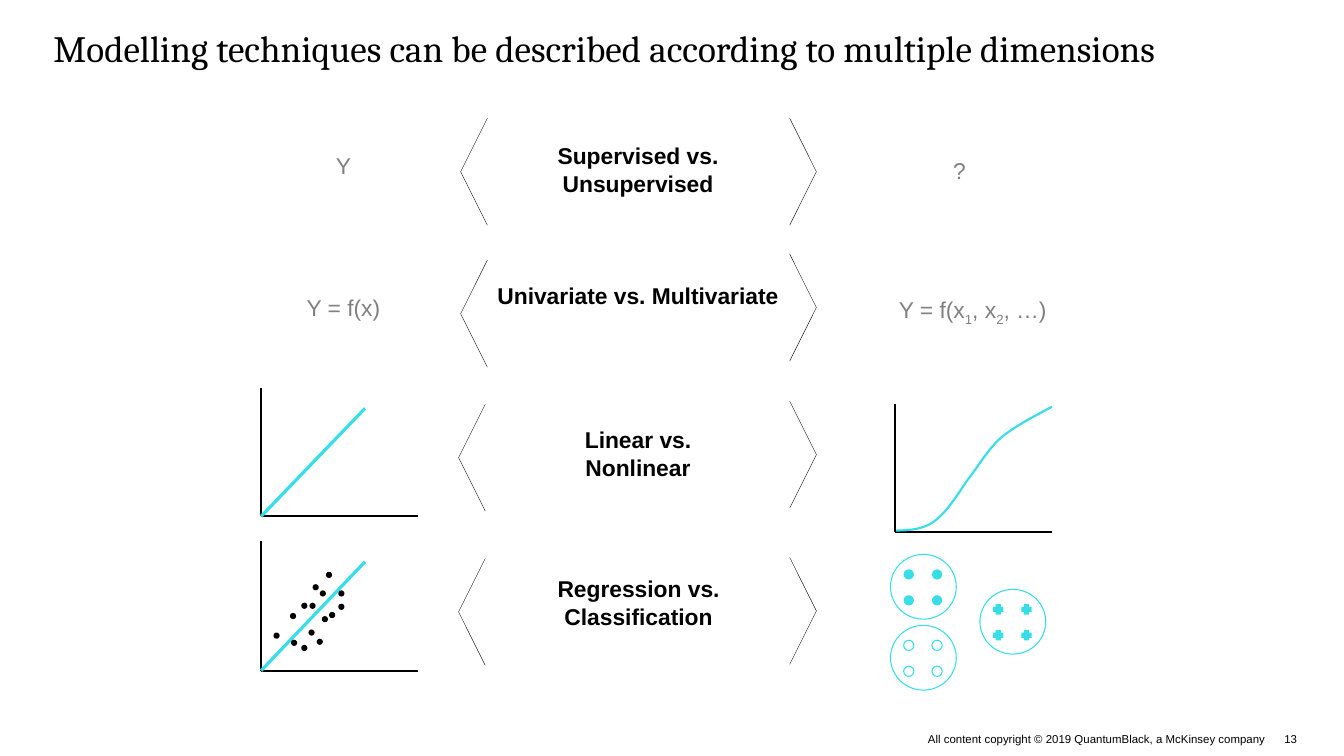
import lxml.etree
import pptx
import pptx.dml.color
import pptx.enum.shapes
import pptx.enum.text
import pptx.oxml.ns
import pptx.util

# Square grid of 0.01 inch cells; every box is (left, top, width, height) in cells
COLS, ROWS = 1307, 735
CELL = pptx.util.Inches(0.01)
HEX = {"ink": "000000", "grey": "808080", "aqua": "37DEE7", "white": "FFFFFF"}
KIND = pptx.enum.shapes.MSO_SHAPE
ALIGN = pptx.enum.text.PP_ALIGN
ANCHOR = pptx.enum.text.MSO_ANCHOR

TITLE = {"name": "Cambria", "size": pptx.util.Pt(26)}
LABEL = {"name": "Arial", "size": pptx.util.Pt(16), "bold": True}
SAMPLE = {"name": "Arial", "size": pptx.util.Pt(16)}
SMALL = {"name": "Arial", "size": pptx.util.Pt(8)}

# Label, its box, then left-top corners of the two brackets
DIMENSIONS = [
    ("Supervised vs. Unsupervised", (483, 138, 275, 54), (448, 115), (768, 115)),
    ("Univariate vs. Multivariate", (483, 274, 275, 27), (448, 253), (768, 247)),
    ("Linear vs. Nonlinear", (520, 414, 201, 54), (446, 393), (768, 390)),
    ("Regression vs. Classification", (515, 559, 212, 54), (446, 543), (768, 542)),
]
# Dot corners, counted in cells from the corner of the scatter plot
DOTS = [(12, 89), (28, 70), (39, 60), (50, 42), (57, 48), (47, 60), (63, 30),
        (75, 61), (66, 69), (46, 86), (59, 73), (54, 95), (29, 96), (39, 101), (75, 48)]
# Bezier knots and handles as shares of the plot
CURVE = [(.01, .99), (.1, .99), (.18, .98), (.25, .92), (.33, .85), (.4, .71),
         (.46, .6), (.53, .49), (.58, .38), (.66, .28), (.75, .18), (.88, .1), (1, .02)]


def emu(*cells):
    return [round(cell * CELL) for cell in cells]


def rgb(name):
    return pptx.dml.color.RGBColor.from_string(HEX[name])


def stroke(line, hue, width):
    line.color.rgb = rgb(hue)
    line.width = pptx.util.Pt(width)


def text(slide, box, runs, form, hue="ink", align=ALIGN.CENTER,
         anchor=ANCHOR.TOP, wrap=True):
    """Write runs of (words, is subscript) in a box without margins."""
    frame = slide.shapes.add_textbox(*emu(*box)).text_frame
    setup = {"margin_left": 0, "margin_right": 0, "margin_top": 0,
             "margin_bottom": 0, "word_wrap": wrap, "vertical_anchor": anchor}
    for key, value in setup.items():
        setattr(frame, key, value)
    para = frame.paragraphs[0]
    para.alignment = align
    for words, sub in runs:
        run = para.add_run()
        run.text = words
        for key, value in form.items():
            setattr(run.font, key, value)
        run.font.color.rgb = rgb(hue)
        if sub:
            run.font._element.set("baseline", "-25000")


def line(slide, start, end, hue, width):
    link = slide.shapes.add_connector(
        pptx.enum.shapes.MSO_CONNECTOR.STRAIGHT, *emu(*start, *end))
    stroke(link.line, hue, width)
    lxml.etree.SubElement(link._element.spPr, pptx.oxml.ns.qn("a:effectLst"))


def trace(slide, points, hue, width):
    """Draw an open, unfilled outline through the points."""
    pairs = [tuple(emu(*point)) for point in points]
    pen = slide.shapes.build_freeform(*pairs[0])
    pen.add_line_segments(pairs[1:], close=False)
    shape = pen.convert_to_shape()
    shape.shadow.inherit = False
    shape.fill.background()
    stroke(shape.line, hue, width)


def mark(slide, kind, box, fill=None, edge=None):
    shape = slide.shapes.add_shape(kind, *emu(*box))
    shape.shadow.inherit = False
    if fill:
        shape.fill.solid()
        shape.fill.fore_color.rgb = rgb(fill)
    else:
        shape.fill.background()
    if edge:
        stroke(shape.line, edge, 0.75)
    else:
        shape.line.fill.background()


def bracket(slide, box, right):
    left, top, width, height = box
    tip, back = (left + width, left) if right else (left, left + width)
    trace(slide, [(back, top), (tip, top + height / 2), (back, top + height)],
          "ink", 0.25)


def axes(slide, box):
    left, top, width, height = box
    base = top + height
    line(slide, (left, top), (left, base), "ink", 1.5)
    line(slide, (left, base), (left + width, base), "ink", 1.5)


def linear(slide, box):
    left, top, width, height = box
    axes(slide, box)
    line(slide, (left, top + height),
         (left + width * 0.66, top + height * 0.16), "aqua", 2.25)


def scatter(slide, box):
    linear(slide, box)
    for across, down in DOTS:
        mark(slide, KIND.OVAL, (box[0] + across, box[1] + down, 6, 6), "ink")


def curved(slide, box, steps=12):
    left, top, width, height = box
    axes(slide, box)
    points = [CURVE[0]]
    for first in range(0, len(CURVE) - 1, 3):
        knots = CURVE[first:first + 4]
        for step in range(1, steps + 1):
            t = step / steps
            mix = ((1 - t) ** 3, 3 * t * (1 - t) ** 2, 3 * t * t * (1 - t), t ** 3)
            points.append([sum(m * knot[axis] for m, knot in zip(mix, knots))
                           for axis in (0, 1)])
    trace(slide, [(left + x * width, top + y * height) for x, y in points],
          "aqua", 1.5)


def cluster(slide, box, kind, fill, edge=None):
    """Ring holding a two by two set of marks."""
    left, top, width, height = box
    mark(slide, KIND.OVAL, box, edge="aqua")
    for across in (0.2, 0.63):
        for down in (0.23, 0.63):
            mark(slide, kind, (left + across * width, top + down * height, 10, 10),
                 fill, edge)


def main():
    deck = pptx.Presentation()
    deck.slide_width, deck.slide_height = emu(COLS, ROWS)
    slide = deck.slides.add_slide(deck.slide_layouts[6])

    # Title and footer
    text(slide, (52, 25, 1208, 44),
         [("Modelling techniques can be described according to multiple dimensions", False)],
         TITLE, align=ALIGN.LEFT)
    text(slide, (897, 712, 337, 13),
         [("All content copyright © 2019 QuantumBlack, a McKinsey company ", False)],
         SMALL, align=ALIGN.RIGHT, anchor=ANCHOR.MIDDLE, wrap=False)
    text(slide, (1249, 712, 14, 13), [("13", False)], SMALL,
         align=ALIGN.LEFT, anchor=ANCHOR.MIDDLE, wrap=False)

    # Middle column: dimensions between brackets
    for words, box, left, right in DIMENSIONS:
        text(slide, box, [(words, False)], LABEL)
        bracket(slide, (*left, 26, 104), False)
        bracket(slide, (*right, 26, 104), True)

    # Formulas on both sides
    many = [("Y = f(x", False), ("1", True), (", x", False), ("2", True), (", …)", False)]
    for box, runs in [((246, 147, 176, 27), [("Y", False)]),
                      ((813, 152, 240, 27), [("?", False)]),
                      ((246, 285, 176, 27), [("Y = f(x)", False)]),
                      ((826, 289, 240, 27), many)]:
        text(slide, box, runs, SAMPLE, "grey", anchor=ANCHOR.MIDDLE)

    # Plots
    linear(slide, (254, 377, 153, 125))
    scatter(slide, (254, 526, 153, 126))
    curved(slide, (870, 393, 153, 124))

    # Classes
    cluster(slide, (953, 573, 64, 63), KIND.CROSS, "aqua")
    cluster(slide, (866, 539, 64, 63), KIND.OVAL, "aqua")
    cluster(slide, (866, 608, 64, 63), KIND.OVAL, "white", "aqua")

    deck.save("out.pptx")


if __name__ == "__main__":
    main()
